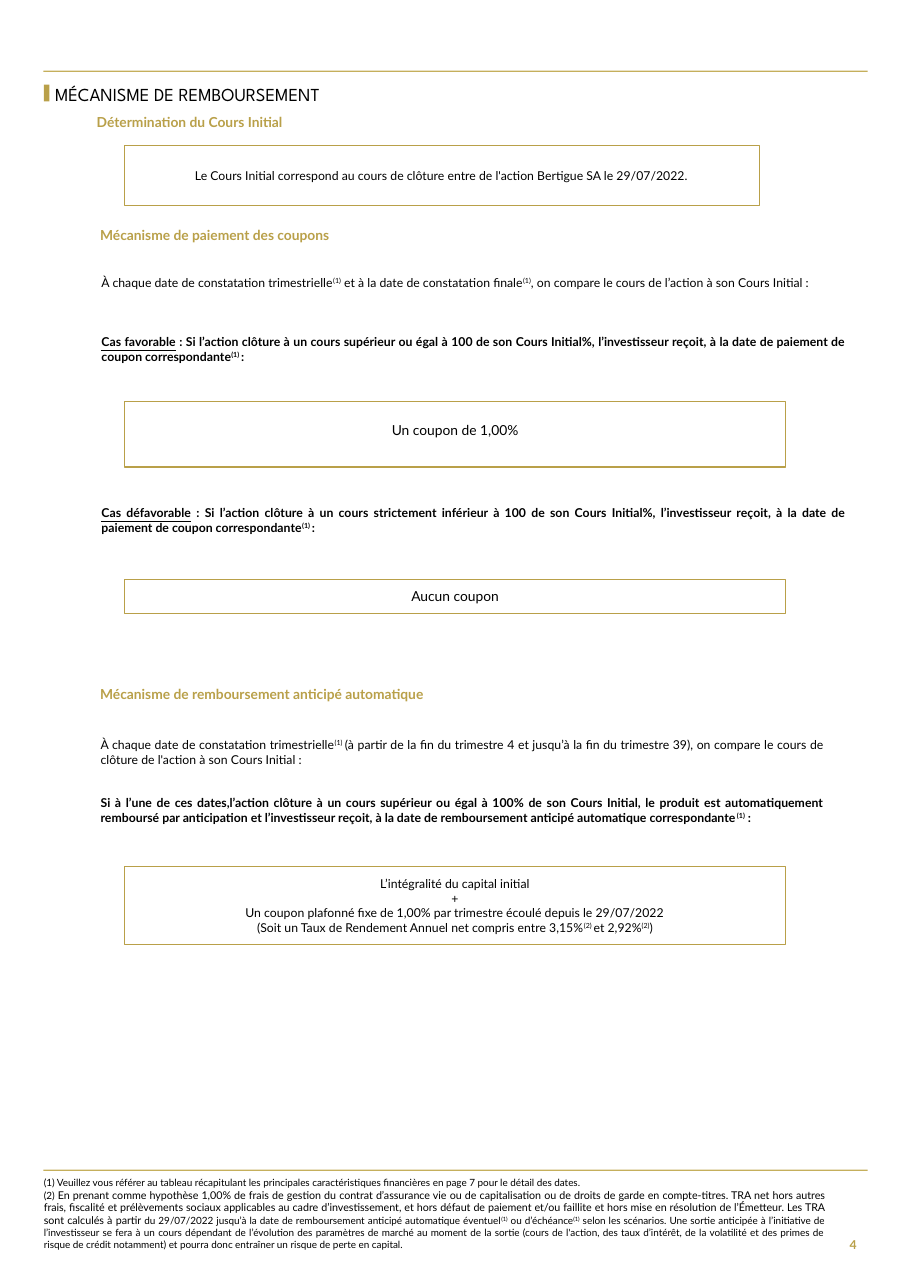
from pptx import Presentation
from pptx import util as u
from pptx.dml.color import RGBColor
from pptx.enum import shapes, text

Cm, Pt = u.Cm, u.Pt
GOLD, PALE, INK, WHITE = "B9A049", "C5AF5C", "000000", "FFFFFF"
LEFT, MID, RIGHT, JUST = (text.PP_ALIGN.LEFT, text.PP_ALIGN.CENTER,
                          text.PP_ALIGN.RIGHT, text.PP_ALIGN.JUSTIFY)

# Content: a run is (words, flags, size); flags are b bold, u underline, ^ raised
TITLE = "MÉCANISME DE REMBOURSEMENT"
PAGE = "4"

# Section headings: left, top, words
HEADS = [
    (1.73, 2.62, "Détermination du Cours Initial"),
    (1.81, 5.23, "Mécanisme de paiement des coupons"),
    (1.81, 15.82, "Mécanisme de remboursement anticipé automatique"),
]

# Body texts: left, top, width, height, paragraphs
BODY = [
    (2.34, 6.35, 16.69, 0.33, [[
        ("À chaque date de constatation trimestrielle", "", 8), ("(1)", "^", 8),
        (" et à la date de constatation finale", "", 8), ("(1)", "^", 8),
        (", on compare le cours de l’action à son Cours Initial :", "", 8)]]),
    (2.34, 7.72, 17.17, 0.69, [[
        ("Cas favorable", "bu", 8),
        (" : Si l’action clôture à un cours supérieur ou égal à 100 de son Cours "
         "Initial%, l’investisseur reçoit, à la date de paiement de coupon "
         "correspondante", "b", 8),
        ("(1) ", "b^", 8), (":", "b", 8)]]),
    (2.34, 11.66, 17.17, 0.69, [[
        ("Cas défavorable", "bu", 8),
        (" : Si l’action clôture à un cours strictement inférieur à 100 de son Cours "
         "Initial%, l’investisseur reçoit, à la date de paiement de coupon "
         "correspondante", "b", 8),
        ("(1) ", "b^", 8), (":", "b", 8)]]),
    (2.32, 17.0, 16.69, 2.06, [
        [("À chaque date de constatation trimestrielle", "", 8), ("(1) ", "^", 8),
         ("(à partir de la fin du trimestre 4 et jusqu’à la fin du trimestre 39), on "
          "compare le cours de clôture de l'action à son Cours Initial :", "", 8)],
        [("Si à l’une de ces dates,l’action clôture à un cours supérieur ou égal à "
          "100% de son Cours Initial, le produit est automatiquement remboursé par "
          "anticipation et l’investisseur reçoit, à la date de remboursement anticipé "
          "automatique correspondante", "b", 8),
         ("(1)", "b^", 8), (" :", "b", 8)]]),
]

NOTES = (1.01, 27.13, 18.01, 1.73, [
    [("(1) Veuillez vous référer au tableau récapitulant les principales "
      "caractéristiques financières en page 7 pour le détail des dates.", "", 6.5)],
    [("(2) ", "", 6.5),
     ("En prenant comme hypothèse 1,00% de frais de gestion du contrat d’assurance "
      "vie ou de capitalisation ou de droits de garde en compte-titres. TRA net hors "
      "autres frais, fiscalité et prélèvements sociaux applicables au cadre "
      "d’investissement, et hors défaut de paiement et/ou faillite et hors mise en "
      "résolution de l’Émetteur. Les TRA sont calculés à partir ", "", 7),
     ("du 29/07/2022 jusqu’à la date de remboursement anticipé automatique éventuel",
      "", 6.5),
     ("(1)", "^", 6.5), (" ou d’échéance", "", 6.5), ("(1)", "^", 6.5),
     (" selon les scénarios. Une sortie anticipée à l’initiative de l’investisseur se "
      "fera à un cours dépendant de l’évolution des paramètres de marché au moment de "
      "la sortie (cours de l'action, des taux d’intérêt, de la volatilité et des "
      "primes de risque de crédit notamment) et pourra donc entraîner un risque de "
      "perte en capital.", "", 6.5)]])

# Framed boxes: top, width, height, line width, lower inset, paragraphs
FRAMES = [
    (3.35, 14.63, 1.38, 0.5, 0, [[
        ("Le Cours Initial correspond au cours de clôture entre de l'action "
         "Bertigue SA le 29/07/2022.", "", 8)]]),
    (9.25, 15.24, 1.52, 0.75, 0.2, [[("Un coupon de 1,00%", "", 9)]]),
    (13.36, 15.24, 0.79, 0.75, 0, [[("Aucun coupon", "", 9)]]),
    (19.99, 15.24, 1.78, 0.5, 0, [
        [("L’intégralité du capital initial", "", 8)],
        [("+", "", 8)],
        [("Un coupon plafonné fixe de 1,00% par trimestre écoulé depuis le "
          "29/07/2022", "", 8)],
        [("(Soit un Taux de Rendement Annuel net compris entre 3,15%", "", 8),
         ("(2) ", "^", 8), ("et 2,92%", "", 8), ("(2)", "^", 8), (")", "", 8)]]),
]

# Slide
deck = Presentation()
deck.slide_width, deck.slide_height = Cm(21), Cm(29.7)
page = deck.slides.add_slide(deck.slide_layouts[6])


def tint(code):
    return RGBColor.from_string(code)


def write(shape, paras, align, hue=INK, face="Lato", gap=0,
          anchor=text.MSO_ANCHOR.TOP, pads=(0, 0, 0, 0)):
    """Fill a shape with paragraphs; pads are left, top, right, bottom in cm."""
    frame = shape.text_frame
    frame.word_wrap = True
    frame.vertical_anchor = anchor
    (frame.margin_left, frame.margin_top,
     frame.margin_right, frame.margin_bottom) = map(Cm, pads)
    for i, runs in enumerate(paras):
        para = frame.add_paragraph() if i else frame.paragraphs[0]
        para.alignment = align
        if i and gap:
            para.space_before = Pt(gap)
        for words, flags, size in runs:
            run = para.add_run()
            run.text = words
            font = run.font
            font.name, font.size = face, Pt(size)
            font.color.rgb = tint(hue)
            font.bold, font.underline = "b" in flags, "u" in flags
            if "^" in flags:
                run._r.get_or_add_rPr().set("baseline", "30000")


def label(x, y, w, h, paras, align, **style):
    write(page.shapes.add_textbox(Cm(x), Cm(y), Cm(w), Cm(h)), paras, align, **style)


def block(x, y, w, h, fill, line=None, width=0):
    shape = page.shapes.add_shape(shapes.MSO_SHAPE.RECTANGLE, Cm(x), Cm(y), Cm(w), Cm(h))
    shape.shadow.inherit = False
    shape.fill.solid()
    shape.fill.fore_color.rgb = tint(fill)
    if line:
        shape.line.color.rgb = tint(line)
        shape.line.width = Pt(width)
    else:
        shape.line.fill.background()
    return shape


# Rules, title and page number
CORE = text.MSO_ANCHOR.MIDDLE
for y in (1.63, 26.97):
    block(1, y, 19, 0.03, PALE)
block(1.01, 1.95, 0.13, 0.39, GOLD)
label(1.27, 1.85, 10.69, 0.64, [[(TITLE, "", 12)]], LEFT,
      face="League Spartan", anchor=CORE)
label(19, 28.17, 1, 1.07, [[(PAGE, "b", 8)]], RIGHT, hue=GOLD, anchor=CORE,
      pads=(0.25, 0.13, 0.25, 0.13))

# Headings, body and notes
for x, y, words in HEADS:
    label(x, y, 17.2, 0.45, [[(words, "b", 9)]], LEFT, hue=GOLD, pads=(0.5, 0, 0, 0))
for x, y, w, h, paras in BODY:
    label(x, y, w, h, paras, JUST, gap=19)
label(*NOTES, JUST)

# Frames
for y, w, h, width, low, paras in FRAMES:
    write(block(2.87, y, w, h, WHITE, GOLD, width), paras, MID,
          anchor=CORE, pads=(0.3, 0, 0.3, low))

deck.save("out.pptx")
